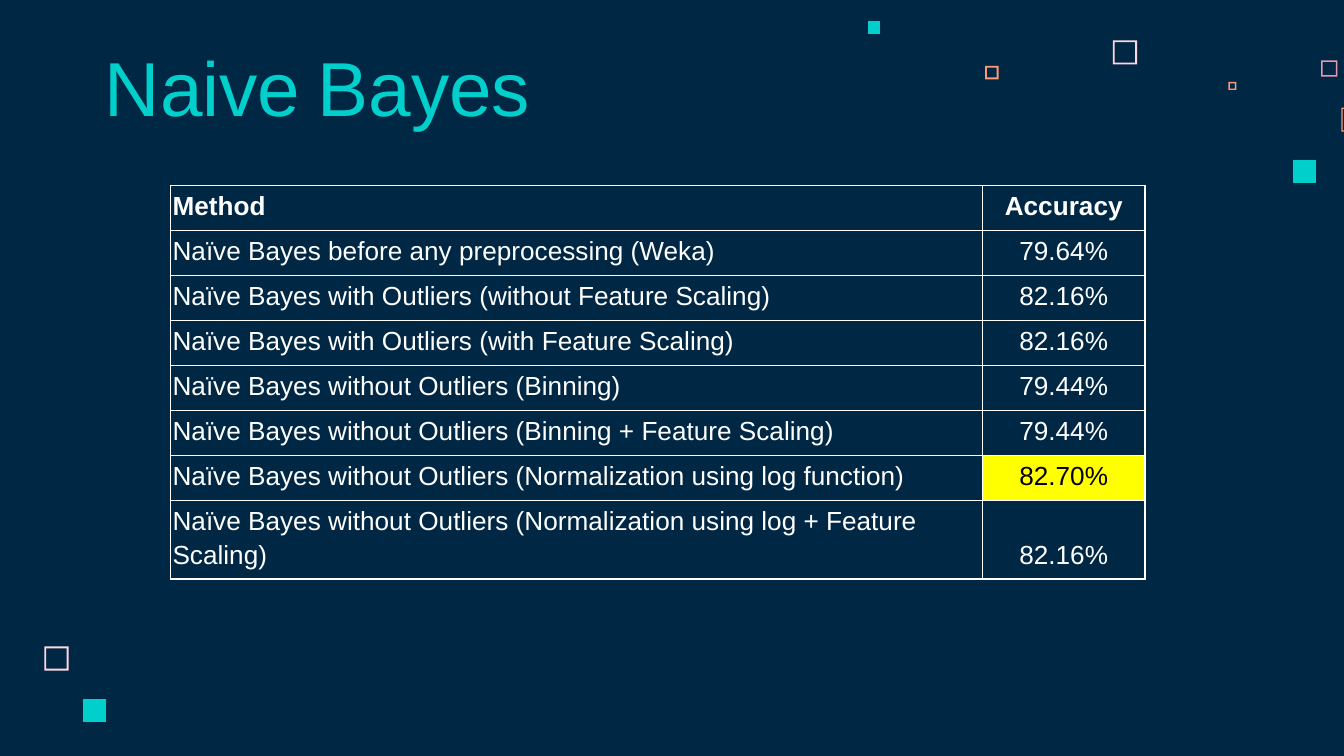
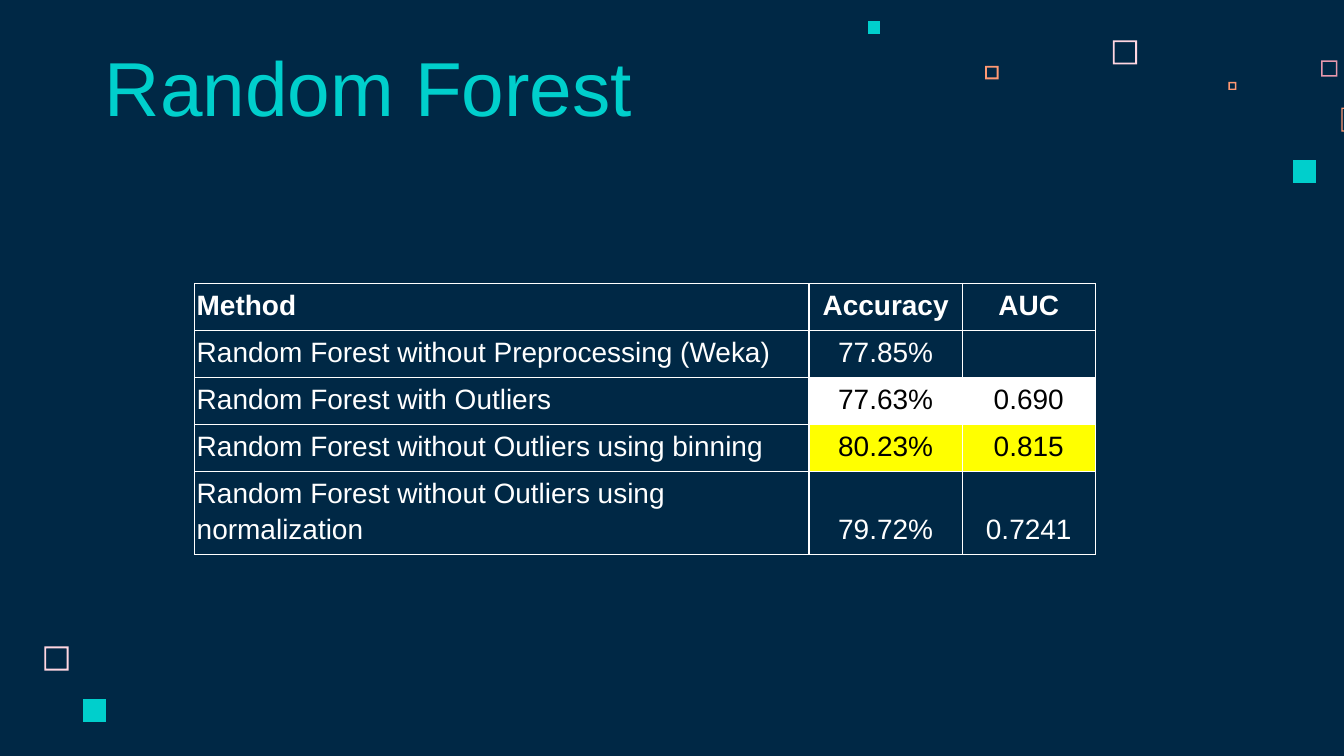
from dataclasses import dataclass

from lxml.etree import SubElement
from pptx import Presentation
from pptx.dml.color import RGBColor
from pptx.enum.text import MSO_ANCHOR, MSO_AUTO_SIZE, PP_ALIGN
from pptx.oxml.ns import qn
from pptx.util import Inches, Pt


@dataclass(frozen=True)
class Theme:
    navy: str = "002845"
    teal: str = "00CFCC"
    blush: str = "FFD6E1"
    rose: str = "E898AC"
    orange: str = "FF9973"
    white: str = "FFFFFF"
    black: str = "000000"
    yellow: str = "FFFF00"
    font: str = "Arial"
    accent_font: str = "Montserrat"
    title_size: int = 41
    gap_size: int = 32
    border: float = 0.75
    line_spacing: float = 1.15


T = Theme()

# Decorative squares: left, top, side, frame thickness in points (0 = solid), colour
SQUARES = [
    (8.28, 0.3, 0.18, 1, T.blush),
    (9.83, 0.45, 0.12, 0.75, T.rose),
    (9.14, 0.61, 0.06, 0.75, T.orange),
    (9.98, 0.8, 0.18, 0.75, T.orange),
    (9.62, 1.19, 0.17, 0, T.teal),
    (7.33, 0.49, 0.1, 1, T.orange),
    (6.46, 0.16, 0.09, 0, T.teal),
    (0.33, 4.81, 0.18, 1, T.blush),
    (0.62, 5.2, 0.17, 0, T.teal),
]

BAYES_ROWS = [
    ("Method", "Accuracy"),
    ("Naïve Bayes before any preprocessing (Weka)", "79.64%"),
    ("Naïve Bayes with Outliers (without Feature Scaling)", "82.16%"),
    ("Naïve Bayes with Outliers (with Feature Scaling)", "82.16%"),
    ("Naïve Bayes without Outliers (Binning)", "79.44%"),
    ("Naïve Bayes without Outliers (Binning + Feature Scaling)", "79.44%"),
    ("Naïve Bayes without Outliers (Normalization using log function)", "82.70%"),
    ("Naïve Bayes without Outliers (Normalization using log + Feature Scaling)", "82.16%"),
]

FOREST_ROWS = [
    ("Method", "Accuracy", "AUC"),
    ("Random Forest without Preprocessing (Weka)", "77.85%", ""),
    ("Random Forest with Outliers", "77.63%", "0.690"),
    ("Random Forest without Outliers using binning", "80.23%", "0.815"),
    ("Random Forest without Outliers using normalization", "79.72%", "0.7241"),
]


def set_all(obj, **values):
    for name, value in values.items():
        setattr(obj, name, value)


def add_run(p, text, size, color, font=T.font, bold=False):
    r = p.add_run()
    r.text = text
    set_all(r.font, name=font, size=Pt(size), bold=bold)
    r.font.color.rgb = RGBColor.from_string(color)


def add_square(s, left, top, side, thickness, color):
    x1, y1, x2, y2 = (Inches(v) for v in (left, top, left + side, top + side))
    fb = s.shapes.build_freeform(x1, y1)
    fb.add_line_segments([(x1, y2), (x2, y2), (x2, y1)])
    if thickness:
        # The inner contour runs the other way round to cut a hole
        t = Pt(thickness)
        fb.move_to(x2 - t, y1 + t)
        fb.add_line_segments([(x2 - t, y2 - t), (x1 + t, y2 - t), (x1 + t, y1 + t)])
    sp = fb.convert_to_shape()
    sp.shadow.inherit = False
    sp.fill.solid()
    sp.fill.fore_color.rgb = RGBColor.from_string(color)
    sp.line.fill.background()


def add_title(s, runs):
    sp = s.shapes.title
    set_all(sp, left=Inches(0.68), top=Inches(0.45), width=Inches(5.17), height=Inches(0.63))
    tf = sp.text_frame
    set_all(tf, word_wrap=True, auto_size=MSO_AUTO_SIZE.NONE, vertical_anchor=MSO_ANCHOR.BOTTOM)
    set_all(tf, **{f"margin_{side}": Inches(0.1) for side in ("left", "right", "top", "bottom")})
    p = tf.paragraphs[0]
    p.alignment = PP_ALIGN.LEFT
    for text, style in runs:
        add_run(p, text, **style)


def set_borders(cell):
    tc_pr = cell._tc.get_or_add_tcPr()
    for edge in ("lnL", "lnR", "lnT", "lnB"):
        ln = SubElement(tc_pr, qn(f"a:{edge}"), w=str(Pt(T.border)))
        SubElement(SubElement(ln, qn("a:solidFill")), qn("a:srgbClr"), val=T.white)


def format_cell(cell, text, size, align, fill, bold):
    set_all(cell, vertical_anchor=MSO_ANCHOR.BOTTOM, margin_left=Pt(1),
            margin_right=Pt(1), margin_top=Pt(1), margin_bottom=Pt(5))
    set_borders(cell)
    if fill:
        cell.fill.solid()
        cell.fill.fore_color.rgb = RGBColor.from_string(fill)
    else:
        cell.fill.background()
    p = cell.text_frame.paragraphs[0]
    set_all(p, alignment=align, line_spacing=T.line_spacing)
    if text:
        add_run(p, text, size, T.black if fill else T.white, bold=bold)
    else:
        # An empty cell still needs the type size, or its row grows
        SubElement(p._p, qn("a:endParaRPr"), sz=str(size * 100))


def add_results_table(s, left, top, widths, rows, size, highlights,
                      header_height=0.29, method_align=PP_ALIGN.LEFT):
    heights = [header_height] + [0.29] * (len(rows) - 1)
    table = s.shapes.add_table(len(rows), len(widths), Inches(left), Inches(top),
                               Inches(sum(widths)), Inches(sum(heights))).table
    set_all(table, first_row=False, horz_banding=False)
    for column, width in zip(table.columns, widths):
        column.width = Inches(width)
    for i, (values, height) in enumerate(zip(rows, heights)):
        table.rows[i].height = Inches(height)
        # The wrapped last row stays left aligned
        first = PP_ALIGN.LEFT if i == len(rows) - 1 else method_align
        for j, text in enumerate(values):
            format_cell(table.cell(i, j), text, size, PP_ALIGN.CENTER if j else first,
                        highlights.get(i) if j else None, bold=i == 0)


def add_slide(prs, title_runs):
    s = prs.slides.add_slide(prs.slide_layouts.get_by_name("Title Only"))
    for square in SQUARES:
        add_square(s, *square)
    add_title(s, title_runs)
    return s


def main():
    prs = Presentation()
    # 16:9 page
    set_all(prs, slide_width=Inches(10), slide_height=Inches(10) * 9 // 16)
    bg = prs.slide_master.background.fill
    bg.solid()
    bg.fore_color.rgb = RGBColor.from_string(T.navy)

    title = dict(size=T.title_size, color=T.teal)
    gap = dict(size=T.gap_size, color=T.white, font=T.accent_font, bold=True)

    # Naive Bayes results
    s = add_slide(prs, [("Naive", title), (" ", gap), ("Bayes", title)])
    add_results_table(s, 1.27, 1.38, [6.04, 1.21], BAYES_ROWS, 14, {6: T.yellow},
                      header_height=0.11)

    # Random Forest results
    s = add_slide(prs, [("Random Forest", title)])
    add_results_table(s, 1.45, 2.11, [4.57, 1.14, 0.99], FOREST_ROWS, 15,
                      {2: T.white, 3: T.yellow}, method_align=PP_ALIGN.JUSTIFY)

    prs.save("out.pptx")


if __name__ == "__main__":
    main()
